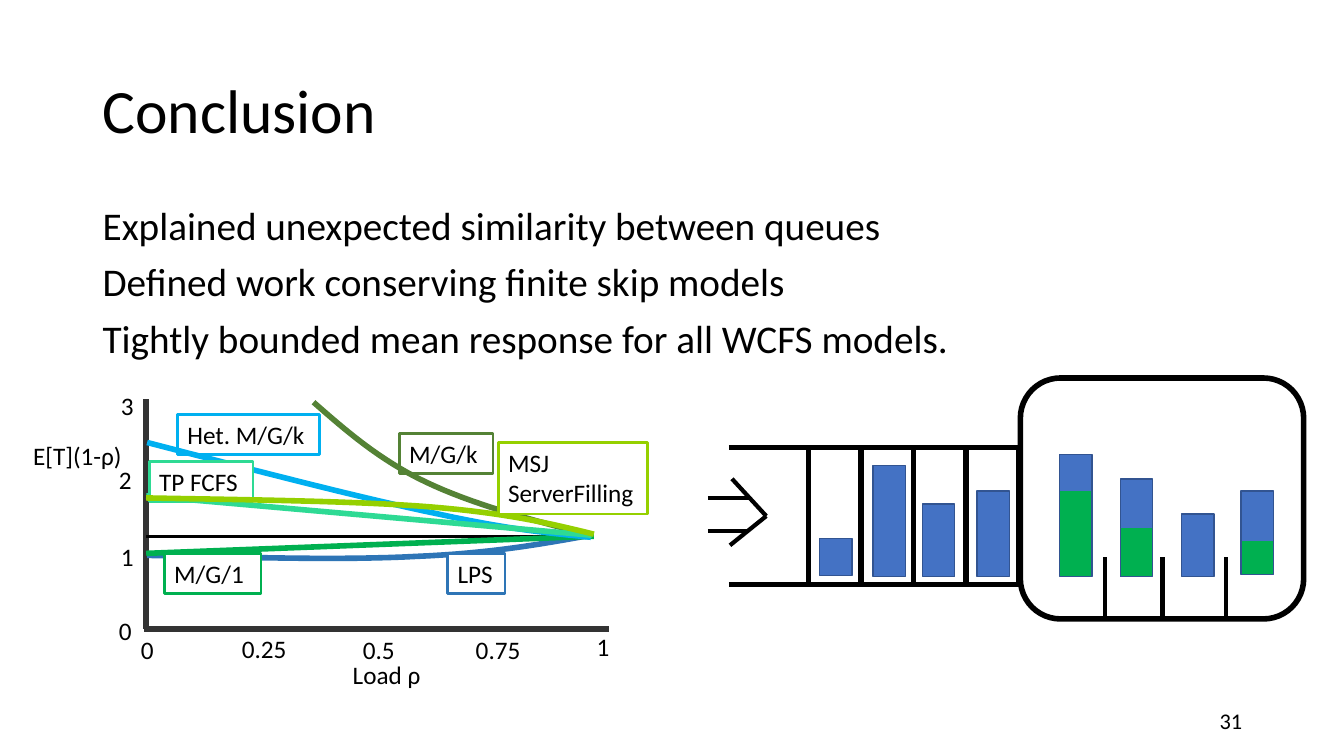
from dataclasses import dataclass

import lxml.etree
import pptx
import pptx.dml.color
import pptx.enum.shapes
import pptx.enum.text
import pptx.oxml.ns
import pptx.util

Inches = pptx.util.Inches
SHAPES = pptx.enum.shapes.MSO_SHAPE
ALIGN = pptx.enum.text.PP_ALIGN
ANCHOR = pptx.enum.text.MSO_ANCHOR
qn = pptx.oxml.ns.qn
Point = tuple[float, float]
Box = tuple[float, float, float, float]

COLORS = {
    "black": "000000", "white": "FFFFFF", "axis": "333333",
    "job": "4472C4", "job edge": "325491", "served": "00B050",
    "LPS": "2E75B6", "M/G/1": "00B050", "M/G/k": "548235",
    "Het. M/G/k": "00B0F0", "TP FCFS": "2EDA94", "MSJ ServerFilling": "95D000",
}


@dataclass(frozen=True)
class Label:
    text: str
    box: Box


@dataclass(frozen=True)
class Model:
    name: str
    box: Box
    curve: tuple[Point, ...]
    filled: bool = True


@dataclass(frozen=True)
class Job:
    left: float
    top: float
    height: float
    served: int = 0


@dataclass(frozen=True)
class Stroke:
    start: Point
    end: Point
    width: float
    color: str = "black"


AXES = [
    Stroke((1.43, 6.24), (6.04, 6.24), 4, "axis"),
    Stroke((1.45, 3.96), (1.45, 6.24), 4, "axis"),
    Stroke((1.45, 5.32), (5.89, 5.32), 2),
]
AXIS_LABELS = [
    Label("0", (1.3, 6.24, 0.42, 0.35)),
    Label("0.25", (2.3, 6.23, 0.69, 0.4)),
    Label("0.5", (3.5, 6.24, 0.57, 0.35)),
    Label("0.75", (4.62, 6.24, 0.69, 0.4)),
    Label("1", (5.82, 6.21, 0.57, 0.35)),
    Label("Load ρ", (3.4, 6.49, 0.9, 0.4)),
    Label("3", (1.1, 3.82, 0.42, 0.35)),
    Label("2", (1.08, 4.56, 0.42, 0.35)),
    Label("1", (1.1, 5.32, 0.42, 0.35)),
    Label("0", (1.08, 6.05, 0.42, 0.35)),
    Label("E[T](1-ρ)", (0.23, 4.32, 1.13, 0.4)),
]
MODELS = [
    Model("LPS", (4.44, 5.49, 0.57, 0.4),
          ((1.46, 5.51), (2.43, 5.53), (3.4, 5.56), (4.13, 5.52),
           (4.86, 5.49), (5.36, 5.4), (5.86, 5.31))),
    Model("M/G/1", (1.63, 5.49, 0.96, 0.4), ((1.45, 5.49), (5.89, 5.32))),
    Model("M/G/k", (3.96, 4.3, 0.93, 0.4),
          ((3.11, 3.99), (3.43, 4.27), (3.76, 4.56), (4.22, 4.78),
           (4.68, 5), (5.27, 5.16), (5.87, 5.31)), False),
    Model("Het. M/G/k", (1.76, 4.11, 1.41, 0.4),
          ((1.46, 4.39), (2.54, 4.67), (3.62, 4.95), (4.35, 5.1),
           (5.08, 5.26), (5.47, 5.29), (5.86, 5.33)), False),
    Model("TP FCFS", (1.48, 4.58, 1.03, 0.4), ((1.45, 4.92), (5.87, 5.31))),
    Model("MSJ ServerFilling", (4.94, 4.39, 1.48, 0.71),
          ((1.45, 4.94), (2.5, 4.96), (3.54, 4.97), (4.28, 5.03),
           (5.01, 5.09), (5.45, 5.19), (5.89, 5.3))),
]

QUEUE_TOP, QUEUE_BOTTOM = 4.44, 5.8
SLOT_WIDTH, LAST_SLOT_LEFT = 0.52, 9.58
ARRIVALS = [
    Stroke((7.26, 4.75), (7.6, 5.12), 3),
    Stroke((7.24, 5.41), (7.6, 5.12), 3),
    *[Stroke((7.02, y), (7.43, y), 3) for y in (4.94, 5.27)],
]
QUEUE_RAILS = [Stroke((7.23, y), (10.1, y), 4) for y in (QUEUE_TOP, QUEUE_BOTTOM)]
SERVER_DIVIDERS = [Stroke((x, 5.53), (x, 6.14), 3) for x in (10.96, 11.53, 12.16)]
JOBS = [
    Job(8.13, 5.34, 0.37), Job(8.66, 4.62, 1.1),
    Job(9.15, 5, 0.72), Job(9.69, 4.87, 0.85),
    Job(10.51, 4.51, 1.21, 70), Job(11.72, 5.1, 0.62),
    Job(12.31, 4.87, 0.83, 40), Job(11.11, 4.75, 0.97, 50),
]


def rgb(name: str) -> pptx.dml.color.RGBColor:
    return pptx.dml.color.RGBColor.from_string(COLORS[name])


def write(shape, lines: list[str], size: float, align=ALIGN.LEFT,
          anchor=ANCHOR.TOP, spacing: float = 1, gap: float = 0) -> None:
    frame = shape.text_frame
    frame.word_wrap = True
    frame.vertical_anchor = anchor
    frame.text = "\n".join(lines)
    for index, paragraph in enumerate(frame.paragraphs):
        paragraph.alignment = align
        paragraph.line_spacing = spacing
        if index and gap:
            paragraph.space_before = pptx.util.Pt(gap)
        for run in paragraph.runs:
            run.font.name = "Calibri"
            run.font.size = pptx.util.Pt(size)
            run.font.color.rgb = rgb("black")


def add_text(slide, box: Box, lines: list[str], size: float, **style):
    text = slide.shapes.add_textbox(*map(Inches, box))
    write(text, lines, size, **style)
    return text


def add_box(slide, box: Box, fill: str | None, edge: str, width: float,
            kind=SHAPES.RECTANGLE):
    shape = slide.shapes.add_shape(kind, *map(Inches, box))
    paint(shape, fill, edge, width)
    return shape


def paint(shape, fill: str | None, edge: str, width: float) -> None:
    shape.shadow.inherit = False
    if fill:
        shape.fill.solid()
        shape.fill.fore_color.rgb = rgb(fill)
    else:
        shape.fill.background()
    shape.line.color.rgb = rgb(edge)
    shape.line.width = pptx.util.Pt(width)


def add_stroke(slide, stroke: Stroke) -> None:
    line = slide.shapes.add_connector(
        pptx.enum.shapes.MSO_CONNECTOR.STRAIGHT,
        *map(Inches, (*stroke.start, *stroke.end)))
    line.line.color.rgb = rgb(stroke.color)
    line.line.width = pptx.util.Pt(stroke.width)
    lxml.etree.SubElement(line._element.spPr, qn("a:effectLst"))


def bezier(a: Point, b: Point, c: Point, d: Point, t: float) -> Point:
    u = 1 - t
    x, y = (u**3 * p + 3 * u * u * t * q + 3 * u * t * t * r + t**3 * s
            for p, q, r, s in zip(a, b, c, d))
    return Inches(x), Inches(y)


def add_model(slide, model: Model) -> None:
    curve = model.curve
    if len(curve) == 2:
        add_stroke(slide, Stroke(*curve, 4, model.name))
    else:
        steps = 16
        points = [bezier(*curve[first:first + 4], step / steps)
                  for first in range(0, len(curve) - 1, 3)
                  for step in range(1, steps + 1)]
        builder = slide.shapes.build_freeform(*map(Inches, curve[0]))
        builder.add_line_segments(points, close=False)
        paint(builder.convert_to_shape(), None, model.name, 4)
    label = add_box(slide, model.box, "white" if model.filled else None, model.name, 2)
    write(label, [model.name], 18)


def add_job(slide, job: Job) -> None:
    bar = add_box(slide, (job.left, job.top, 0.32, job.height), "job", "job edge", 1)
    if job.served:
        bar.rotation = 180
        bar.fill.gradient()
        bar.fill.gradient_angle = 270
        stops = bar._element.spPr.find(f"{qn('a:gradFill')}/{qn('a:gsLst')}")
        stops.clear()
        for percent, name in ((0, "served"), (job.served, "served"),
                              (job.served, "job"), (100, "job")):
            stop = lxml.etree.SubElement(stops, qn("a:gs"), pos=str(percent * 1000))
            lxml.etree.SubElement(stop, qn("a:srgbClr"), val=COLORS[name])


def main() -> None:
    deck = pptx.Presentation()
    deck.slide_width, deck.slide_height = Inches(13.33), Inches(7.5)
    slide = deck.slides.add_slide(deck.slide_layouts[6])

    add_text(slide, (0.92, 0.4, 11.5, 1.45), ["Conclusion"], 44,
             anchor=ANCHOR.MIDDLE, spacing=0.9)
    add_text(slide, (0.92, 2, 11.5, 4.76), [
        "Explained unexpected similarity between queues",
        "Defined work conserving finite skip models",
        "Tightly bounded mean response for all WCFS models.",
    ], 28, spacing=0.9, gap=10)
    add_text(slide, (9.42, 6.95, 3, 0.4), ["31"], 16,
             align=ALIGN.RIGHT, anchor=ANCHOR.MIDDLE)

    for stroke in ARRIVALS + QUEUE_RAILS:
        add_stroke(slide, stroke)
    for slot in range(4):
        add_box(slide, (LAST_SLOT_LEFT - slot * SLOT_WIDTH, QUEUE_TOP, SLOT_WIDTH,
                        QUEUE_BOTTOM - QUEUE_TOP), "white", "black", 4)
    for job in JOBS:
        add_job(slide, job)
    add_box(slide, (10.12, 3.75, 2.81, 2.39), None, "black", 4, SHAPES.ROUNDED_RECTANGLE)

    for stroke in SERVER_DIVIDERS + AXES:
        add_stroke(slide, stroke)
    for label in AXIS_LABELS:
        add_text(slide, label.box, [label.text], 18)
    for model in MODELS:
        add_model(slide, model)

    deck.save("out.pptx")


if __name__ == "__main__":
    main()
